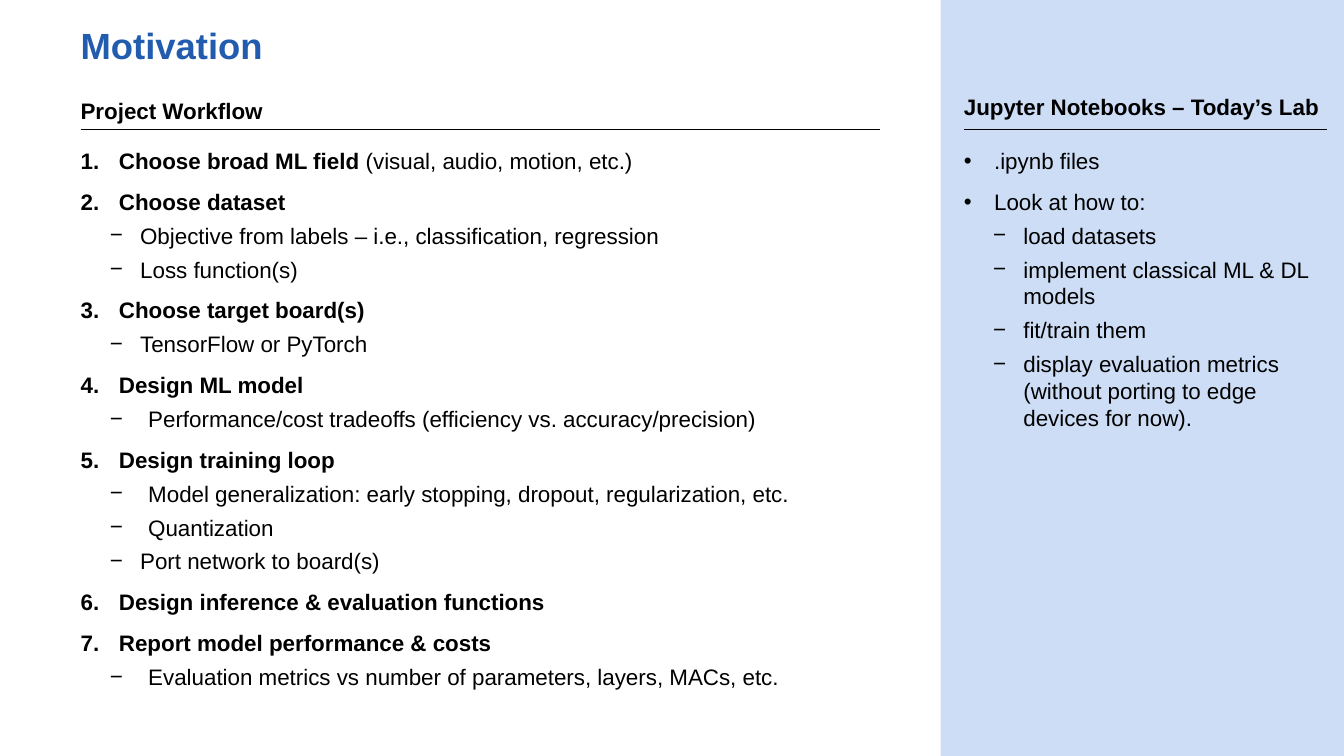
from lxml import etree
from pptx import Presentation
from pptx.dml.color import RGBColor
from pptx.enum.shapes import MSO_CONNECTOR, MSO_SHAPE
from pptx.enum.text import MSO_ANCHOR, MSO_AUTO_SIZE, PP_ALIGN
from pptx.oxml.ns import qn
from pptx.util import Inches, Pt

STRAIGHT = MSO_CONNECTOR.STRAIGHT
RECTANGLE = MSO_SHAPE.RECTANGLE
TOP = MSO_ANCHOR.TOP
FIXED = MSO_AUTO_SIZE.NONE
LEFT = PP_ALIGN.LEFT

COLORS = {"title": "215CAF", "text": "000000", "panel": "CCDDF5"}
NUMBER, DOT, DASH = "1.", "•", "−"

# Each item: marker, text indent, bold text, regular text
WORKFLOW = [
    (NUMBER, 0.38, "Choose broad ML field ", "(visual, audio, motion, etc.)"),
    (NUMBER, 0.38, "Choose dataset", ""),
    (DASH, 0.59, "", "Objective from labels – i.e., classification, regression"),
    (DASH, 0.59, "", "Loss function(s)"),
    (NUMBER, 0.38, "Choose target board(s)", ""),
    (DASH, 0.59, "", "TensorFlow or PyTorch"),
    (NUMBER, 0.38, "Design ML model", ""),
    (DASH, 0.67, "", "Performance/cost tradeoffs (efficiency vs. accuracy/precision)"),
    (NUMBER, 0.38, "Design training loop", ""),
    (DASH, 0.67, "", "Model generalization: early stopping, dropout, regularization, etc."),
    (DASH, 0.67, "", "Quantization"),
    (DASH, 0.59, "", "Port network to board(s)"),
    (NUMBER, 0.38, "Design inference & evaluation functions", ""),
    (NUMBER, 0.38, "Report model performance & costs", ""),
    (DASH, 0.67, "", "Evaluation metrics vs number of parameters, layers, MACs, etc."),
]
LAB = [
    (DOT, 0.3, "", ".ipynb files"),
    (DOT, 0.3, "", "Look at how to:"),
    (DASH, 0.59, "", "load datasets"),
    (DASH, 0.59, "", "implement classical ML & DL models"),
    (DASH, 0.59, "", "fit/train them"),
    (DASH, 0.59, "", "display evaluation metrics (without porting to edge devices for now)."),
]


def prepare_box(box, left, top, width, height):
    box.left, box.top = Inches(left), Inches(top)
    box.width, box.height = Inches(width), Inches(height)
    frame = box.text_frame
    frame.margin_left = frame.margin_right = frame.margin_top = frame.margin_bottom = 0
    frame.word_wrap = True
    frame.auto_size = FIXED
    frame.vertical_anchor = TOP
    return frame


def style_paragraph(paragraph, size, color, bold):
    paragraph.alignment = LEFT
    paragraph.font.name = "Arial"
    paragraph.font.size = Pt(size)
    paragraph.font.bold = bold
    paragraph.font.color.rgb = RGBColor.from_string(COLORS[color])


deck = Presentation()
deck.slide_width, deck.slide_height = Inches(13.33), Inches(7.5)
page = deck.slides.add_slide(deck.slide_layouts[1])
title, body = page.placeholders

# Side panel
panel = page.shapes.add_shape(RECTANGLE, Inches(9.33), 0, Inches(4), Inches(7.5))
panel.shadow.inherit = False
panel.fill.solid()
panel.fill.fore_color.rgb = RGBColor.from_string(COLORS["panel"])
panel.line.fill.background()

# Title
frame = prepare_box(title, 0.8, 0.28, 7.93, 0.39)
frame.text = "Motivation"
frame.paragraphs[0].line_spacing = 0.9
style_paragraph(frame.paragraphs[0], 26, "title", True)

# Column headings with rules
for heading, left, top, width in [
    ("Project Workflow", 0.8, 0.96, 7.93),
    ("Jupyter Notebooks – Today’s Lab", 9.56, 0.92, 3.6),
]:
    frame = prepare_box(page.shapes.add_textbox(0, 0, 0, 0), left, top, width, 0.27)
    frame.text = heading
    style_paragraph(frame.paragraphs[0], 16, "text", True)
    rule = page.shapes.add_connector(
        STRAIGHT, Inches(left), Inches(1.28), Inches(left + width), Inches(1.28))
    rule.line.width = Pt(0.5)
    rule.line.color.rgb = RGBColor.from_string(COLORS["text"])
    etree.SubElement(rule.line._get_or_add_ln().getparent(), qn("a:effectLst"))

# Numbered workflow and lab list
lab_box = page.shapes.add_textbox(0, 0, 0, 0)
for box, items, left, width, height in [
    (body, WORKFLOW, 0.8, 7.93, 5.5),
    (lab_box, LAB, 9.56, 3.6, 3.2),
]:
    frame = prepare_box(box, left, 1.46, width, height)
    for index, (marker, indent, strong, plain) in enumerate(items):
        paragraph = frame.add_paragraph() if index else frame.paragraphs[0]
        paragraph.level = 1 if marker == DASH else 0
        properties = paragraph._p.get_or_add_pPr()
        hanging = 0.3 if indent == 0.59 else min(indent, 0.38)
        properties.set("marL", str(Inches(indent)))
        properties.set("indent", str(-Inches(hanging)))
        if marker == NUMBER:
            etree.SubElement(properties, qn("a:buFont"), typeface="+mj-lt")
            etree.SubElement(properties, qn("a:buAutoNum"), type="arabicPeriod")
        else:
            etree.SubElement(properties, qn("a:buFont"), typeface="Arial")
            etree.SubElement(properties, qn("a:buChar"), char=marker)
        paragraph.space_before = Pt(0 if index == 0 else 5 if marker == DASH else 10)
        style_paragraph(paragraph, 16, "text", bool(strong))
        for text in filter(None, (strong, plain)):
            span = paragraph.add_run()
            span.text = text
            if strong and text == plain:
                span.font.bold = False

deck.save("out.pptx")
